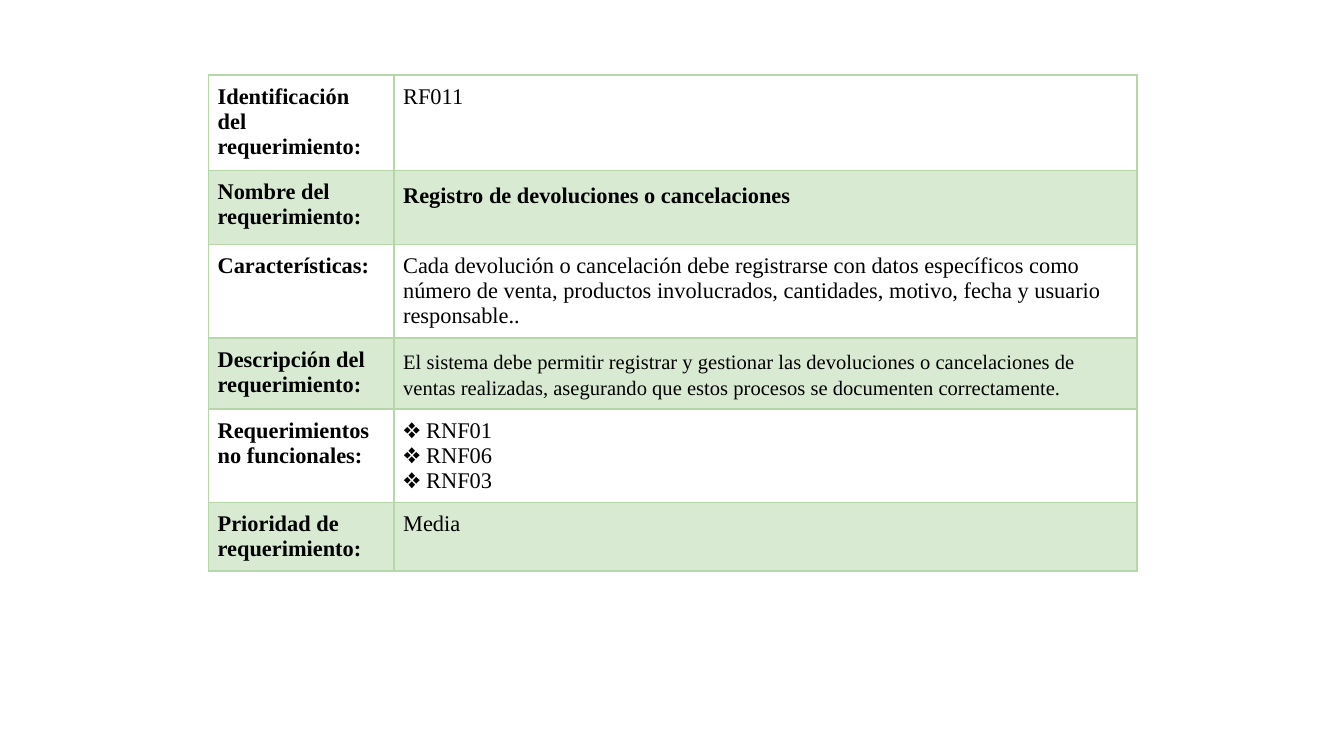
"""Build the slide with the requirement sheet RF011."""
from lxml import etree
from pptx import Presentation
from pptx.dml.color import RGBColor
from pptx.oxml.ns import qn
from pptx.util import Inches, Pt

GREEN = RGBColor(0xB6, 0xD7, 0xA8)
PALE = RGBColor(0xD9, 0xEA, 0xD3)
BLACK = RGBColor(0, 0, 0)
FONT = "Times New Roman"
SIDES = ("lnL", "lnR", "lnT", "lnB")
WIDE = 10
PAD = Inches(0.07)
INSET = {"margin_left": PAD, "margin_right": PAD,
         "margin_top": PAD, "margin_bottom": PAD}
COLS = (1.38, 5.53)
PLAIN = {"size": 12, "bold": False, "gap": 1}
BOLD = {**PLAIN, "bold": True}
TITLE = {**BOLD, "gap": 1.15}
SMALL = {"size": 11, "bold": False, "gap": 1.15}
ROWS = (
    (0.71, "Identificación\ndel\nrequerimiento:", "RF011", PLAIN),
    (0.55, "Nombre del\nrequerimiento:",
     "Registro de devoluciones o cancelaciones", TITLE),
    (0.69, "Características:",
     "Cada devolución o cancelación debe registrarse con datos específicos "
     "como número de venta, productos involucrados, cantidades, motivo, "
     "fecha y usuario responsable..", PLAIN),
    (0.53, "Descripción del\nrequerimiento:",
     "El sistema debe permitir registrar y gestionar las devoluciones o "
     "cancelaciones de ventas realizadas, asegurando que estos procesos se "
     "documenten correctamente.", SMALL),
    (0.69, "Requerimientos\nno funcionales:",
     "❖ RNF01\n❖ RNF06\n❖ RNF03", PLAIN),
    (0.51, "Prioridad de\nrequerimiento:", "Media", PLAIN),
)


def apply(item, values):
    """Set each named value on the item."""
    for name, value in values.items():
        setattr(item, name, value)


def border(cell):
    """Draw a thin green line on all four sides of a cell."""
    props = cell._tc.get_or_add_tcPr()
    for spot, side in enumerate(SIDES):
        line = etree.Element(qn(f"a:{side}"), w=str(Pt(1)))
        fill = etree.SubElement(line, qn("a:solidFill"))
        etree.SubElement(fill, qn("a:srgbClr"), val=str(GREEN))
        props.insert(spot, line)


def write(cell, text, style):
    """Put styled text in a cell, one paragraph a line."""
    apply(cell, INSET)
    cell.text_frame.text = text
    for para in cell.text_frame.paragraphs:
        para.line_spacing = style["gap"]
        for part in para.runs:
            apply(part.font, {"name": FONT, "size": Pt(style["size"]),
                              "bold": style["bold"]})
            part.font.color.rgb = BLACK


def paint(cell, shaded):
    """Fill a shaded cell and leave the others clear."""
    if shaded:
        cell.fill.solid()
        cell.fill.fore_color.rgb = PALE
    else:
        cell.fill.background()


def add_sheet(slide):
    """Add the table of requirement fields."""
    high = sum(row[0] for row in ROWS)
    table = slide.shapes.add_table(
        len(ROWS), len(COLS), Inches(1.55), Inches(0.56),
        Inches(sum(COLS)), Inches(high)).table
    apply(table, {"first_row": False, "horz_banding": False})
    for col, width in zip(table.columns, COLS):
        col.width = Inches(width)
    for index, (height, label, value, style) in enumerate(ROWS):
        row = table.rows[index]
        row.height = Inches(height)
        for cell, text, form in zip(row.cells, (label, value), (BOLD, style)):
            write(cell, text, form)
            paint(cell, index % 2 == 1)
            border(cell)


def main():
    """Create and save the slide."""
    deck = Presentation()
    apply(deck, {"slide_width": Inches(WIDE),
                 "slide_height": Inches(WIDE * 9 / 16)})
    add_sheet(deck.slides.add_slide(deck.slide_layouts[6]))
    deck.save("out.pptx")


if __name__ == "__main__":
    main()
